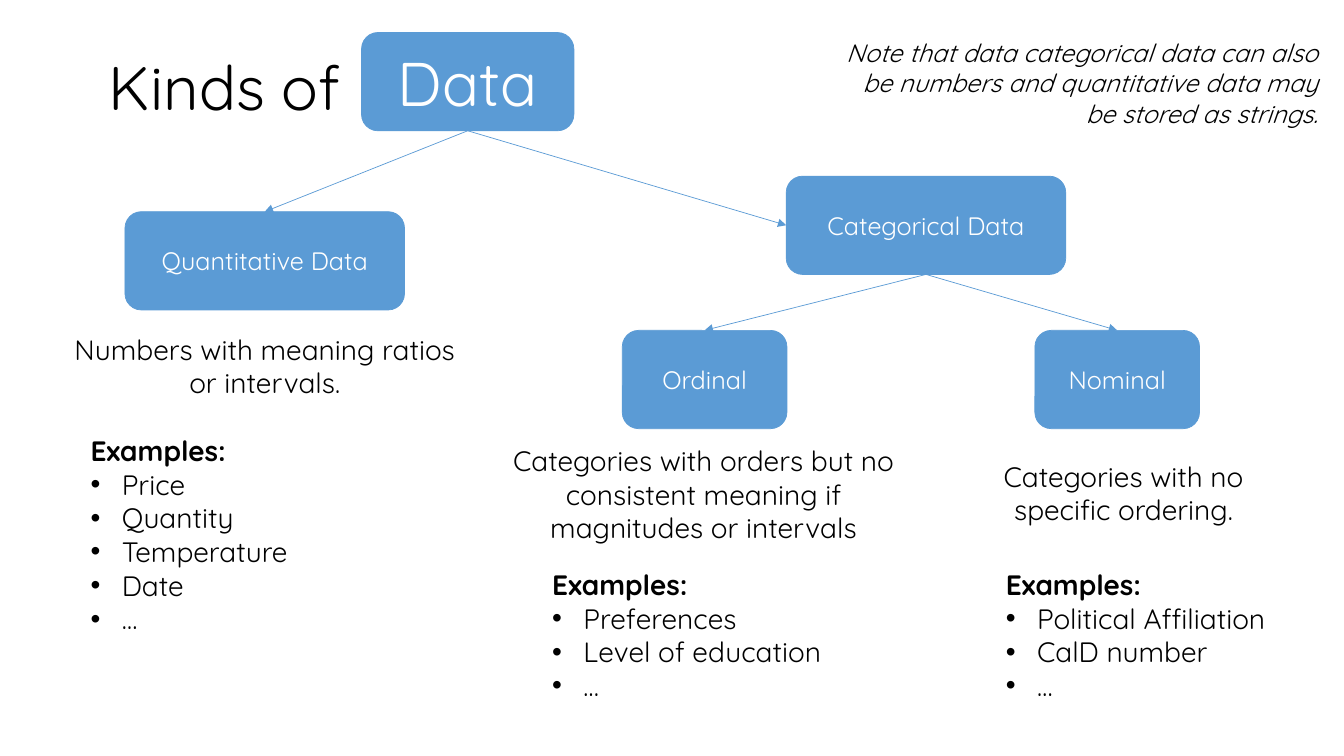
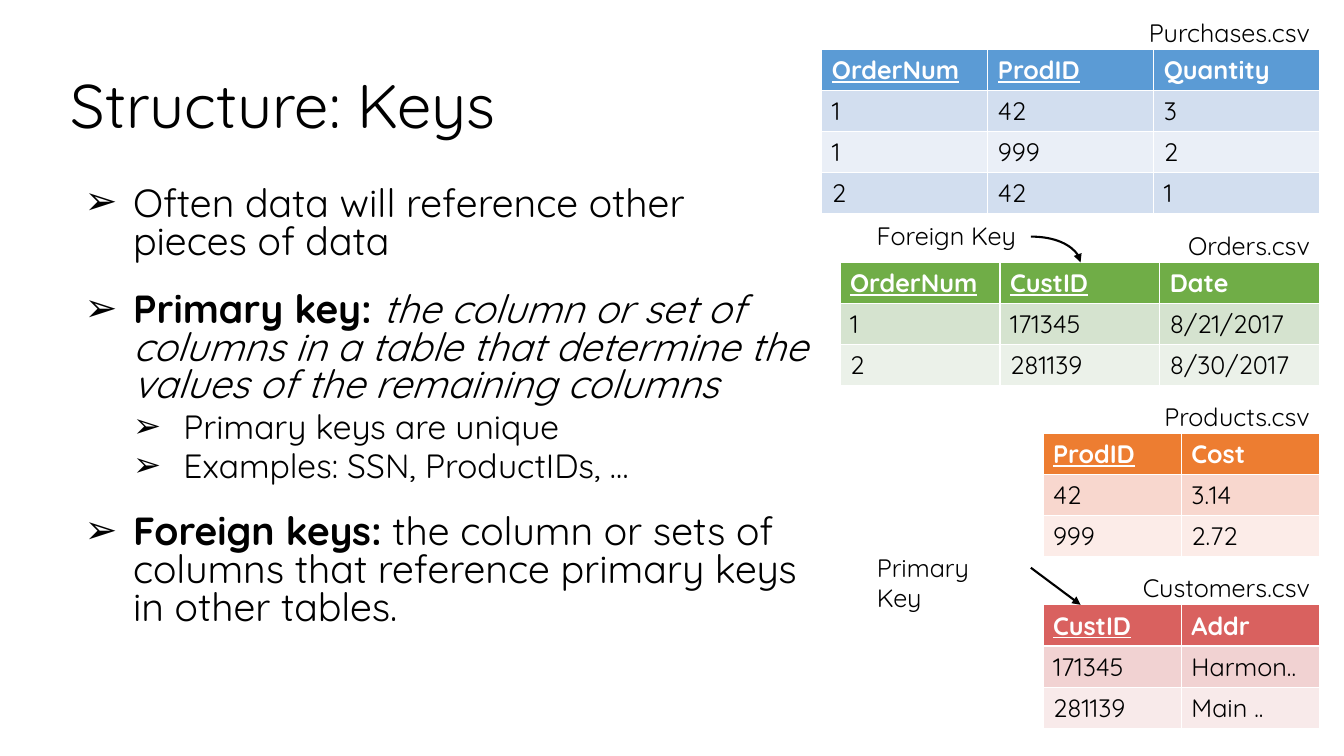
from lxml.etree import SubElement
from pptx import Presentation
from pptx.dml.color import RGBColor
from pptx.enum.shapes import MSO_CONNECTOR, MSO_SHAPE
from pptx.enum.text import MSO_ANCHOR, MSO_AUTO_SIZE, PP_ALIGN
from pptx.oxml.ns import qn
from pptx.util import Emu, Inches, Pt

# Shared look
FONT = "Quicksand"
TITLE_SIZE, TEXT_SIZE, SMALL_SIZE = 44, 20, 18
COLORS = {
    "black": "000000", "white": "FFFFFF",
    "blue": "5B9BD5", "blue dark band": "D2DEEF", "blue light band": "EAEFF7",
    "green": "70AD47", "green dark band": "D5E3CF", "green light band": "EBF1E9",
    "orange": "ED7D31", "orange dark band": "F8D7CE", "orange light band": "FCECE8",
    "red": "D9615F", "red dark band": "F1D2D2", "red light band": "F8EAEA",
}
COLORS = {name: RGBColor.from_string(code) for name, code in COLORS.items()}

deck = Presentation()
deck.slide_width, deck.slide_height = Inches(13.333), Inches(7.5)

# The grid has 100 columns and 100 rows
COLUMN, ROW = deck.slide_width / 100, deck.slide_height / 100
LINE_ROWS, PADDING_ROWS = 4.5, 1.3
arrows = []


def place(left, top, width, height):
    """Turn grid columns and rows into slide lengths."""
    return [Emu(round(n * unit)) for n, unit in
            zip((left, top, width, height), (COLUMN, ROW, COLUMN, ROW))]


def write(frame, spans, size, color="black", align=PP_ALIGN.LEFT, bullet=None,
          margin=0.31, hang=0.31, spacing=None, before=0):
    """Add one paragraph; each span is a text and its style letters (b, i, u)."""
    frame.word_wrap = True
    para = frame.add_paragraph() if frame.paragraphs[0].runs else frame.paragraphs[0]
    para.alignment, para.space_before = align, Pt(before)
    if spacing:
        para.line_spacing = spacing
    if bullet:
        properties = para._p.get_or_add_pPr()
        properties.set("marL", str(Inches(margin)))
        properties.set("indent", str(-Inches(hang)))
        SubElement(properties, qn("a:buFont"), typeface="Arial")
        SubElement(properties, qn("a:buChar"), char=bullet)
    for text, style in spans:
        span = para.add_run()
        span.text = text
        span.font.name, span.font.size = FONT, Pt(size)
        span.font.color.rgb = COLORS[color]
        span.font.bold, span.font.italic = "b" in style, "i" in style
        span.font.underline = "u" in style


# Pages with their titles
pages = []
for layout, title, area in [
    (5, "Kinds of", (7.35, 2.3, 31.1, 19.3)),
    (1, "Structure: Keys", (4.5, 4.7, 88.6, 19.3)),
]:
    page = deck.slides.add_slide(deck.slide_layouts[layout])
    box = page.shapes.title
    box.left, box.top, box.width, box.height = place(*area)
    box.text_frame.auto_size = MSO_AUTO_SIZE.NONE
    box.text_frame.vertical_anchor = MSO_ANCHOR.MIDDLE
    write(box.text_frame, [(title, "")], TITLE_SIZE, spacing=0.9)
    pages.append(page)
kinds_page, keys_page = pages

# Kinds of data: tree nodes
nodes = {}
for name, left, top, width, size in [
    ("Quantitative Data", 9.3, 28, 20.8, SMALL_SIZE),
    ("Categorical Data", 58.5, 23.3, 20.8, SMALL_SIZE),
    ("Ordinal", 46.3, 43.7, 12.25, SMALL_SIZE),
    ("Nominal", 77, 43.7, 12.25, SMALL_SIZE),
    ("Data", 26.9, 4.3, 15.8, TITLE_SIZE),
]:
    node = kinds_page.shapes.add_shape(
        MSO_SHAPE.ROUNDED_RECTANGLE, *place(left, top, width, 13))
    node.shadow.inherit = False
    node.fill.solid()
    node.fill.fore_color.rgb = node.line.color.rgb = COLORS["blue"]
    node.line.width = Pt(0.5)
    write(node.text_frame, [(name, "")], size, "white", PP_ALIGN.CENTER)
    nodes[name] = node

# Kinds of data: branches
TOP_SITE, LEFT_SITE, BOTTOM_SITE = 0, 1, 2
for parent, child, site in [
    ("Data", "Quantitative Data", TOP_SITE),
    ("Data", "Categorical Data", LEFT_SITE),
    ("Categorical Data", "Ordinal", TOP_SITE),
    ("Categorical Data", "Nominal", TOP_SITE),
]:
    branch = kinds_page.shapes.add_connector(MSO_CONNECTOR.STRAIGHT, 0, 0, 0, 0)
    branch.begin_connect(nodes[parent], BOTTOM_SITE)
    branch.end_connect(nodes[child], site)
    arrows.append((branch, "blue", 0.5))

# Kinds of data: descriptions
for left, top, line_count, paragraphs in [
    (3.75, 43.3, 2, ["Numbers with meaning ratios or intervals."]),
    (36.4, 58, 3,
     ["Categories with orders but no consistent meaning if magnitudes or intervals"]),
    (67.65, 60.1, 2, ["Categories with no", "specific ordering."]),
]:
    box = kinds_page.shapes.add_textbox(
        *place(left, top, 31.9, line_count * LINE_ROWS + PADDING_ROWS))
    for text in paragraphs:
        write(box.text_frame, [(text, "")], TEXT_SIZE, align=PP_ALIGN.CENTER)

# Kinds of data: examples
for left, top, examples in [
    (6, 56.7, ["Price", "Quantity", "Temperature", "Date", "…"]),
    (40.35, 74.4, ["Preferences", "Level of education", "…"]),
    (74.1, 74.4, ["Political Affiliation", "CalD number", "…"]),
]:
    box = kinds_page.shapes.add_textbox(
        *place(left, top, 23, (len(examples) + 1) * LINE_ROWS + PADDING_ROWS))
    write(box.text_frame, [("Examples:", "b")], TEXT_SIZE)
    for example in examples:
        write(box.text_frame, [(example, "")], TEXT_SIZE, bullet="•")

# Kinds of data: note
box = kinds_page.shapes.add_textbox(*place(61.4, 4.3, 37.4, 13.5))
write(box.text_frame, [("Note that data categorical data can also be numbers and "
                        "quantitative data may be stored as strings.", "i")],
      SMALL_SIZE, align=PP_ALIGN.RIGHT)

# Keys: list, with (size, margin, hang, space before) for each level
LEVELS = [(28, 0.5, 0.48, 22), (24, 1, 0.5, 5)]
body = keys_page.placeholders[1]
body.left, body.top, body.width, body.height = place(5.4, 24.1, 55.5, 67.9)
body.text_frame.auto_size = MSO_AUTO_SIZE.NONE
for number, (level, spans) in enumerate([
    (0, [("Often data will reference other pieces of data", "")]),
    (0, [("Primary key: ", "b"),
         ("the column or set of columns in a table that determine the values "
          "of the remaining columns", "i")]),
    (1, [("Primary keys are unique", "")]),
    (1, [("Examples: SSN, ProductIDs, …", "")]),
    (0, [("Foreign keys:", "b"),
         (" the column or sets of columns that reference primary keys in other "
          "tables.", "")]),
]):
    size, margin, hang, before = LEVELS[level]
    write(body.text_frame, spans, size, bullet="➢", margin=margin, hang=hang,
          spacing=0.8, before=before if number else 0)
    body.text_frame.paragraphs[-1].level = level

# Keys: tables, all ending at the same right edge, with file names above
RIGHT_EDGE, TABLE_ROW, LABEL_WIDTH = 98.2, 5.45, 19
for file_name, top, width, color, key_count, rows in [
    ("Purchases.csv", 6.5, 12.35, "blue", 2,
     [["OrderNum", "ProdID", "Quantity"],
      ["1", "42", "3"], ["1", "999", "2"], ["2", "42", "1"]]),
    ("Orders.csv", 34.7, 11.9, "green", 2,
     [["OrderNum", "CustID", "Date"],
      ["1", "171345", "8/21/2017"], ["2", "281139", "8/30/2017"]]),
    ("Products.csv", 57.3, 10.3, "orange", 1,
     [["ProdID", "Cost"], ["42", "3.14"], ["999", "2.72"]]),
    ("Customers.csv", 80, 10.3, "red", 1,
     [["CustID", "Addr"], ["171345", "Harmon.."], ["281139", "Main .."]]),
]:
    label = keys_page.shapes.add_textbox(
        *place(RIGHT_EDGE - LABEL_WIDTH, top - 4.9, LABEL_WIDTH, 5.4))
    write(label.text_frame, [(file_name, "")], SMALL_SIZE, align=PP_ALIGN.RIGHT)
    table_width = width * len(rows[0])
    table = keys_page.shapes.add_table(
        len(rows), len(rows[0]),
        *place(RIGHT_EDGE - table_width, top, table_width, TABLE_ROW * len(rows))).table
    for row_number, row in enumerate(rows):
        header = row_number == 0
        band = " dark band" if row_number % 2 else " light band"
        for column_number, text in enumerate(row):
            cell = table.cell(row_number, column_number)
            cell.fill.solid()
            cell.fill.fore_color.rgb = COLORS[color if header else color + band]
            style = ("bu" if column_number < key_count else "b") if header else ""
            write(cell.text_frame, [(text, style)], SMALL_SIZE,
                  "white" if header else "black")

# Keys: callouts
for text, top, width, height, kind, start, end in [
    ("Foreign Key", 28.5, 12.2, 5.4, MSO_CONNECTOR.CURVE, 31.3, 34.7),
    ("Primary Key", 72.4, 9.8, 9.3, MSO_CONNECTOR.STRAIGHT, 75.1, 80),
]:
    box = keys_page.shapes.add_textbox(*place(64.5, top, width, height))
    write(box.text_frame, [(text, "")], SMALL_SIZE)
    pointer = keys_page.shapes.add_connector(kind, *place(76.7, start, 80.4, end))
    if kind == MSO_CONNECTOR.CURVE:
        pointer._element.spPr.find(qn("a:prstGeom")).set("prst", "curvedConnector2")
    arrows.append((pointer, "black", 1.5))

# Line style and arrowheads
for arrow, color, width in arrows:
    arrow.line.color.rgb = COLORS[color]
    arrow.line.width = Pt(width)
    SubElement(arrow.line._get_or_add_ln(), qn("a:tailEnd"), type="triangle")
    SubElement(arrow._element.spPr, qn("a:effectLst"))

deck.save("out.pptx")
